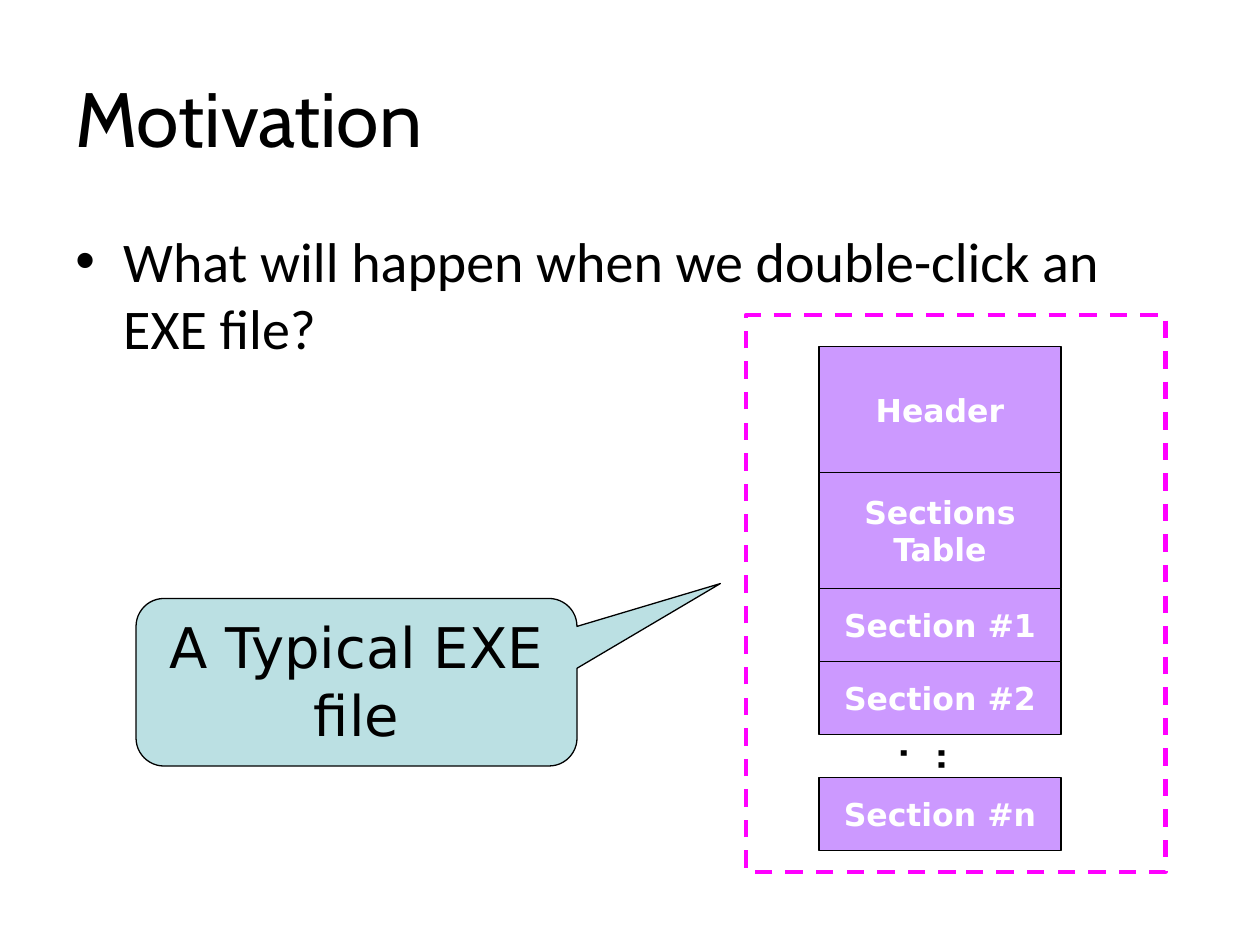
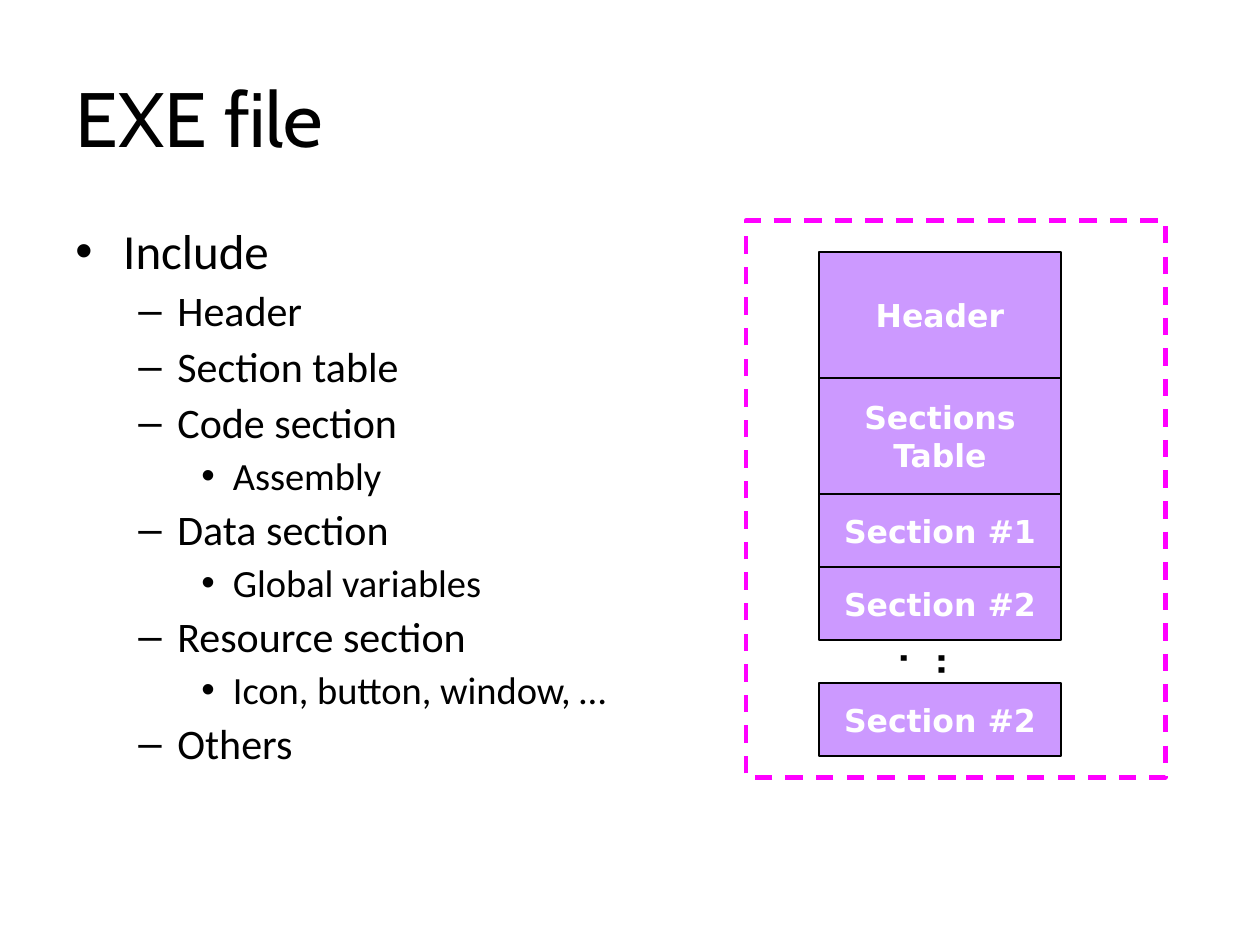
from lxml import etree
from pptx import Presentation
from pptx import util as u
from pptx.dml.color import RGBColor
from pptx.enum import dml, shapes, text
from pptx.oxml.ns import qn

COLORS = {"text": "000000", "block": "CC99FF", "block_text": "FFFFFF",
          "callout": "BBE0E3", "frame": "FF00FF"}
TITLE_FONT, BODY_FONT, LABEL_FONT = "Cabin", "Calibri", "DejaVu Sans"

# Bullet levels: character, left margin, hanging indent
LEVELS = [("•", 0.38, 0.38), ("–", 0.81, 0.31), ("•", 1.25, 0.25)]

# File layout blocks: offset from the top of the stack, height
BLOCKS = [(0, 1), (1, 0.92), (1.92, 0.58), (2.5, 0.58), (3.42, 0.58)]

# Bullets: level, size, space before, text
SLIDES = [
    {"title": "Motivation", "body_width": 9, "line_spacing": 1.0, "stack_top": 2.75,
     "bullets": [(0, 32, 8, "What will happen when we double-click an EXE file?")],
     "last_block": "Section #n", "callout": "A Typical EXE file"},
    {"title": "EXE file", "body_width": 4.83, "line_spacing": 0.9, "stack_top": 2,
     "bullets": [(0, 28, 7, "Include"),
                 (1, 24, 6, "Header"),
                 (1, 24, 6, "Section table"),
                 (1, 24, 6, "Code section"),
                 (2, 22, 5.5, "Assembly"),
                 (1, 24, 6, "Data section"),
                 (2, 22, 5.5, "Global variables"),
                 (1, 24, 6, "Resource section"),
                 (2, 22, 5.5, "Icon, button, window, …"),
                 (1, 24, 6, "Others")],
     "last_block": "Section #2", "callout": None},
]


def add_line(tf, words, size, font, color="text", bold=False, align=None):
    """Write one paragraph, using the empty first one if it is still free."""
    p = tf.paragraphs[0] if not tf.paragraphs[0].runs else tf.add_paragraph()
    p.alignment = align
    r = p.add_run()
    r.text = words
    r.font.size, r.font.name, r.font.bold = u.Pt(size), font, bold
    r.font.color.rgb = RGBColor.from_string(COLORS[color])
    return p


def add_box(s, kind, left, top, width, height, fill, line, weight):
    """Add a preset shape without shadow; no fill when fill is None."""
    sp = s.shapes.add_shape(kind, u.Inches(left), u.Inches(top),
                            u.Inches(width), u.Inches(height))
    sp.shadow.inherit = False
    if fill:
        sp.fill.solid()
        sp.fill.fore_color.rgb = RGBColor.from_string(COLORS[fill])
    else:
        sp.fill.background()
    sp.line.color.rgb = RGBColor.from_string(COLORS[line])
    sp.line.width = u.Pt(weight)
    return sp


prs = Presentation()
prs.slide_width, prs.slide_height = u.Inches(10), u.Inches(7.5)
CENTER = text.PP_ALIGN.CENTER

for data in SLIDES:
    s = prs.slides.add_slide(prs.slide_layouts[6])
    top = data["stack_top"]

    # Title
    tf = s.shapes.add_textbox(u.Inches(0.5), u.Inches(0.3),
                              u.Inches(9), u.Inches(1.25)).text_frame
    tf.word_wrap = True
    tf.vertical_anchor = text.MSO_ANCHOR.MIDDLE
    add_line(tf, data["title"], 44, TITLE_FONT)

    # Bulleted body
    tf = s.shapes.add_textbox(u.Inches(0.5), u.Inches(1.75),
                              u.Inches(data["body_width"]), u.Inches(4.95)).text_frame
    tf.word_wrap = True
    for level, size, before, words in data["bullets"]:
        p = add_line(tf, words, size, BODY_FONT)
        p.level = level
        p.space_before = u.Pt(before)
        p.line_spacing = data["line_spacing"]
        char, margin, hang = LEVELS[level]
        pPr = p._p.get_or_add_pPr()
        pPr.set("marL", str(u.Inches(margin)))
        pPr.set("indent", str(-u.Inches(hang)))
        etree.SubElement(pPr, qn("a:buFont")).set("typeface", "Arial")
        etree.SubElement(pPr, qn("a:buChar")).set("char", char)

    # Stack of file blocks
    labels = [["Header"], ["Sections", "Table"], ["Section #1"], ["Section #2"],
              [data["last_block"]]]
    for (offset, height), lines in zip(BLOCKS, labels):
        sp = add_box(s, shapes.MSO_SHAPE.RECTANGLE, 6.5, top + offset, 1.92, height,
                     "block", "text", 0.74)
        tf = sp.text_frame
        tf.word_wrap = False
        tf.vertical_anchor = text.MSO_ANCHOR.MIDDLE
        for words in lines:
            add_line(tf, words, 18, LABEL_FONT, "block_text", True, CENTER)

    # Vertical dots between the last two blocks
    tf = s.shapes.add_textbox(u.Inches(7.25), u.Inches(top + 3.08),
                              u.Inches(0.5), u.Inches(0.42)).text_frame
    tf.word_wrap = True
    tf.auto_size = text.MSO_AUTO_SIZE.SHAPE_TO_FIT_TEXT
    tf.margin_left = tf.margin_right = u.Inches(0.05)
    tf.margin_top = tf.margin_bottom = u.Inches(0.1)
    tf._txBody.bodyPr.set("vert", "eaVert")
    add_line(tf, "...", 18, LABEL_FONT, bold=True).space_before = u.Pt(11.2)

    # Callout pointing at the file
    if data["callout"]:
        sp = add_box(s, shapes.MSO_SHAPE.ROUNDED_RECTANGULAR_CALLOUT,
                     1.08, 4.75, 3.5, 1.33, "callout", "text", 0.74)
        for i, value in enumerate([0.825, -0.589, 0.167]):
            sp.adjustments[i] = value
        tf = sp.text_frame
        tf.word_wrap = True
        tf.vertical_anchor = text.MSO_ANCHOR.TOP
        add_line(tf, data["callout"], 32, LABEL_FONT, align=CENTER)

    # Dashed frame around the file
    sp = add_box(s, shapes.MSO_SHAPE.RECTANGLE, 5.92, top - 0.25, 3.33, 4.42,
                 None, "frame", 2.49)
    sp.line.dash_style = dml.MSO_LINE.DASH

prs.save("out.pptx")
